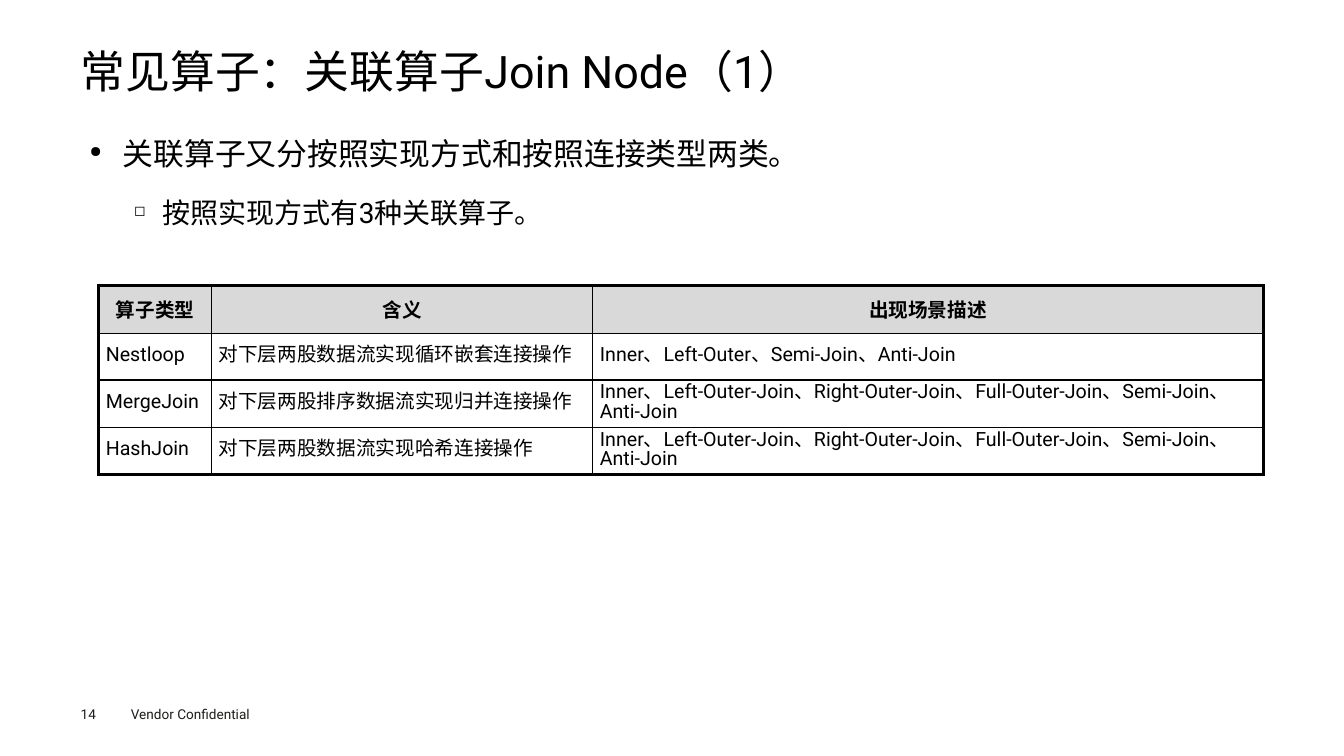
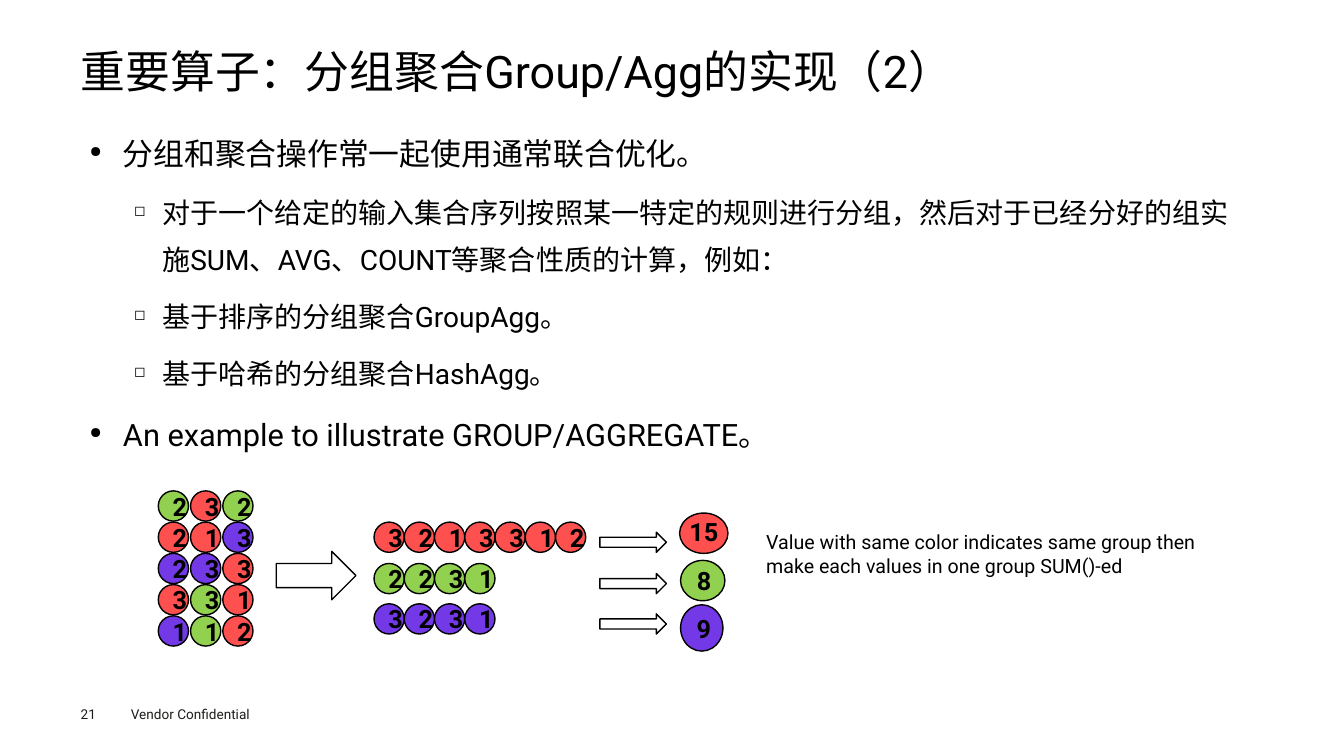
from lxml.etree import SubElement
from pptx import Presentation
from pptx.dml.color import RGBColor
from pptx.enum.lang import MSO_LANGUAGE_ID
from pptx.enum.shapes import MSO_SHAPE
from pptx.enum.text import MSO_ANCHOR, PP_ALIGN
from pptx.oxml.ns import qn
from pptx.util import Inches, Pt

# Theme: font, colours and text formats
THEME = {
    "font": "Roboto",
    "ink": "000000",
    "white": "FFFFFF",
    "header": "D9D9D9",
    "red": "FF5050",
    "green": "92D050",
    "violet": "7339E7",
    "thin": 1,
    "thick": 2.25,
    "text": {
        "title": {"size": 32},
        "body": {"size": 22},
        "sub": {"size": 20},
        "cell": {"size": 14},
        "head": {"size": 14, "bold": True},
        "ball": {"size": 18, "bold": True},
        "footer": {"size": 9.7, "color": "1D1D1B"},
    },
}
# Bullet levels: style, mark, left margin, hanging indent, paragraph format
LEVELS = [
    ("body", "●", 0.33, 0.33, {"line_spacing": 1.4, "space_before": Pt(7.9),
                               "alignment": PP_ALIGN.JUSTIFY}),
    ("sub", "◻", 0.72, 0.28, {"line_spacing": 1.4, "space_before": Pt(7.2)}),
]
HEAD_FORMAT = {"alignment": PP_ALIGN.CENTER, "line_spacing": 1.1,
               "space_after": Pt(3)}
CELL_FORMAT = {"line_spacing": Pt(14)}
NO_INSETS = (0, 0, 0, 0)

# Content
FOOTER = "Vendor Confidential"
JOIN = {
    "number": "14",
    "title": "常见算子：关联算子Join Node（1）",
    "bullets": [
        (0, "关联算子又分按照实现方式和按照连接类型两类。"),
        (1, "按照实现方式有3种关联算子。"),
    ],
}
ALL_JOINS = ("Inner、Left-Outer-Join、Right-Outer-Join、Full-Outer-Join、"
             "Semi-Join、Anti-Join")
JOIN_TABLE = [
    ("算子类型", "含义", "出现场景描述"),
    ("Nestloop", "对下层两股数据流实现循环嵌套连接操作",
     "Inner、Left-Outer、Semi-Join、Anti-Join"),
    ("MergeJoin", "对下层两股排序数据流实现归并连接操作", ALL_JOINS),
    ("HashJoin", "对下层两股数据流实现哈希连接操作", ALL_JOINS),
]
COLUMN_WIDTHS = (1.12, 3.78, 6.65)
ROW_HEIGHTS = (0.48, 0.46, 0.46, 0.46)

GROUP = {
    "number": "21",
    "title": "重要算子：分组聚合Group/Agg的实现（2）",
    "bullets": [
        (0, "分组和聚合操作常一起使用通常联合优化。"),
        (1, "对于一个给定的输入集合序列按照某一特定的规则进行分组，然后对于"
            "已经分好的组实施SUM、AVG、COUNT等聚合性质的计算，例如："),
        (1, "基于排序的分组聚合GroupAgg。"),
        (1, "基于哈希的分组聚合HashAgg。"),
        (0, "An example to illustrate GROUP/AGGREGATE。"),
    ],
}
CAPTION = ("Value with same color indicates same group then "
           "make each values in one group SUM()-ed")
INPUT_ROWS = [
    [("green", 2), ("red", 3), ("green", 2)],
    [("red", 2), ("red", 1), ("violet", 3)],
    [("violet", 2), ("violet", 3), ("red", 3)],
    [("red", 3), ("green", 3), ("red", 1)],
    [("violet", 1), ("green", 1), ("red", 2)],
]
# Colour, top, values, sum, box of the sum, insets of the sum
GROUPS = [
    ("red", 5.18, (3, 2, 1, 3, 3, 1, 2), 15, (6.74, 5.09, 0.48, 0.4),
     (0, 0, 0, 0.04)),
    ("green", 5.59, (2, 2, 3, 1), 8, (6.75, 5.56, 0.44, 0.4), None),
    ("violet", 5.99, (3, 2, 3, 1), 9, (6.75, 6, 0.42, 0.46), None),
]
BALL = 0.3


# Text helpers
def rgb(name):
    return RGBColor.from_string(THEME.get(name, name))


def set_attrs(target, values):
    for name, value in values.items():
        setattr(target, name, value)


def set_insets(target, insets):
    sides = ("left", "top", "right", "bottom")
    set_attrs(target, {f"margin_{side}": Inches(v)
                       for side, v in zip(sides, insets)})


def write(p, text, style, **layout):
    set_attrs(p, layout)
    look = THEME["text"][style]
    r = p.add_run()
    r.text = text
    set_attrs(r.font, {"name": THEME["font"], "size": Pt(look["size"]),
                       "bold": look.get("bold", False),
                       "language_id": MSO_LANGUAGE_ID.SIMPLIFIED_CHINESE})
    r.font.color.rgb = rgb(look.get("color", "ink"))
    SubElement(r.font._element, qn("a:ea"), typeface=THEME["font"])


def add_text(s, box, insets=None):
    tf = s.shapes.add_textbox(*map(Inches, box)).text_frame
    tf.word_wrap = True
    if insets:
        set_insets(tf, insets)
    return tf


def add_bullet(p, level, text, first):
    style, mark, left, hang, layout = LEVELS[level]
    pPr = p._p.get_or_add_pPr()
    pPr.set("marL", str(Inches(left)))
    pPr.set("indent", str(-Inches(hang)))
    SubElement(pPr, qn("a:buSzPct"), val="50000")
    SubElement(pPr, qn("a:buChar"), char=mark)
    write(p, text, style, **layout)
    if first:
        p.space_before = Pt(0)


# Parts that every slide shares
def add_page(prs, page):
    s = prs.slides.add_slide(prs.slide_layouts[6])
    footer = add_text(s, (1.2, 6.95, 1.6, 0.27))
    write(footer.paragraphs[0], FOOTER, "footer")
    number = add_text(s, (0.8, 7, 0.55, 0.16), NO_INSETS)
    write(number.paragraphs[0], page["number"], "footer")
    title = add_text(s, (0.8, 0.49, 11.73, 0.53), NO_INSETS)
    write(title.paragraphs[0], page["title"], "title", line_spacing=0.9)
    body = add_text(s, (0.8, 1.15, 11.73, 5.34), (0.09, 0.04, 0.09, 0.04))
    for i, (level, text) in enumerate(page["bullets"]):
        p = body.add_paragraph() if i else body.paragraphs[0]
        add_bullet(p, level, text, first=i == 0)
    return s


# Table of join operators
def set_borders(cell, outer):
    tcPr = cell._tc.get_or_add_tcPr()
    for side, is_outer in outer.items():
        width = Pt(THEME["thick" if is_outer else "thin"])
        ln = SubElement(tcPr, qn(f"a:ln{side}"), w=str(width))
        fill = SubElement(ln, qn("a:solidFill"))
        SubElement(fill, qn("a:srgbClr"), val=THEME["ink"])


def add_join_table(s):
    rows, cols = len(JOIN_TABLE), len(COLUMN_WIDTHS)
    box = (0.98, 2.83, sum(COLUMN_WIDTHS), sum(ROW_HEIGHTS))
    table = s.shapes.add_table(rows, cols, *map(Inches, box)).table
    set_attrs(table, {"first_row": False, "horz_banding": False})
    for column, width in zip(table.columns, COLUMN_WIDTHS):
        column.width = Inches(width)
    for row, height in zip(table.rows, ROW_HEIGHTS):
        row.height = Inches(height)
    for i, texts in enumerate(JOIN_TABLE):
        for j, text in enumerate(texts):
            cell = table.cell(i, j)
            set_borders(cell, {"L": j == 0, "R": j == cols - 1,
                               "T": i == 0, "B": i == rows - 1})
            set_insets(cell, (0.07, 0.04, 0.07, 0.04))
            cell.vertical_anchor = MSO_ANCHOR.MIDDLE
            p = cell.text_frame.paragraphs[0]
            if i == 0:
                cell.fill.solid()
                cell.fill.fore_color.rgb = rgb("header")
                write(p, text, "head", **HEAD_FORMAT)
            else:
                cell.fill.background()
                write(p, text, "cell", **CELL_FORMAT)


# Grouping diagram
def add_outlined(s, kind, box, color):
    sp = s.shapes.add_shape(kind, *map(Inches, box))
    sp.shadow.inherit = False
    sp.fill.solid()
    sp.fill.fore_color.rgb = rgb(color)
    sp.line.color.rgb = rgb("ink")
    sp.line.width = Pt(THEME["thin"])
    return sp


def add_ball(s, box, color, value, insets=None):
    sp = add_outlined(s, MSO_SHAPE.FLOWCHART_CONNECTOR, box, color)
    tf = sp.text_frame
    tf.vertical_anchor = MSO_ANCHOR.MIDDLE
    if insets:
        set_insets(tf, insets)
    write(tf.paragraphs[0], str(value), "ball", alignment=PP_ALIGN.CENTER)


def add_arrow(s, *box):
    add_outlined(s, MSO_SHAPE.RIGHT_ARROW, box, "white")


def add_grouping(s):
    for i, row in enumerate(INPUT_ROWS):
        for j, (color, value) in enumerate(row):
            box = (1.57 + 0.32 * j, 4.87 + 0.31 * i, BALL, BALL)
            add_ball(s, box, color, value)
    add_arrow(s, 2.74, 5.47, 0.79, 0.48)
    for color, top, values, total, total_box, insets in GROUPS:
        for i, value in enumerate(values):
            add_ball(s, (3.71 + 0.3 * i, top, BALL, BALL), color, value)
        add_arrow(s, 5.95, top + 0.1, 0.66, 0.2)
        add_ball(s, total_box, color, total, insets)
    caption = add_text(s, (7.5, 5.21, 4.78, 0.57))
    write(caption.paragraphs[0], CAPTION, "cell")


def main():
    prs = Presentation()
    set_attrs(prs, {"slide_width": Inches(13.33), "slide_height": Inches(7.5)})
    add_join_table(add_page(prs, JOIN))
    add_grouping(add_page(prs, GROUP))
    prs.save("out.pptx")


if __name__ == "__main__":
    main()
